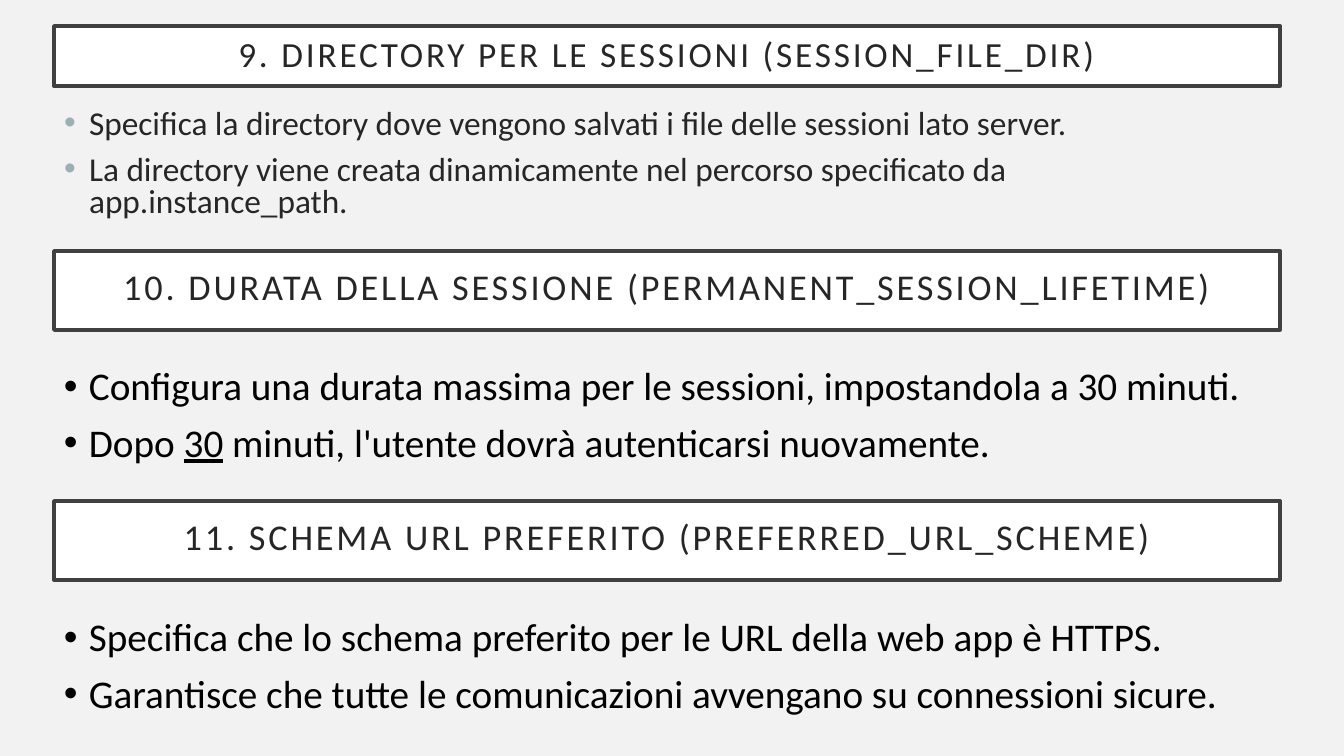
from lxml.etree import SubElement
from pptx import Presentation
from pptx.dml.color import RGBColor
from pptx.enum.shapes import MSO_SHAPE
from pptx.enum.text import MSO_ANCHOR, MSO_AUTO_SIZE, PP_ALIGN
from pptx.oxml.ns import qn
from pptx.util import Emu, Pt

COLOURS = {
    "background": "F2F2F2",
    "heading_fill": "FFFFFF",
    "heading_line": "404040",
    "soft_text": "262626",
    "text": "000000",
    "soft_bullet": "9BAFB5",
}
FONT = "Calibri"
LEFT, WIDTH = 54, 1226
LIST_HEIGHT = 127

# Each list item is a sequence of (text, underlined) runs
SECTIONS = [
    {
        "heading": "9. DIRECTORY PER LE SESSIONI (SESSION_FILE_DIR)",
        "heading_top": 26, "heading_height": 60, "heading_size": 25.2, "heading_spacing": 0.9,
        "items": [
            [("Specifica la directory dove vengono salvati i file delle sessioni lato server.", False)],
            [("La directory viene creata dinamicamente nel percorso specificato da "
              "app.instance_path.", False)],
        ],
        "list_top": 105, "list_size": 23.8, "list_spacing": 0.8,
        "list_colour": "soft_text", "bullet_colour": "soft_bullet",
    },
    {
        "heading": "10. DURATA DELLA SESSIONE (PERMANENT_SESSION_LIFETIME)",
        "heading_top": 251, "heading_height": 79, "heading_size": 25.9, "heading_spacing": 0.8,
        "items": [
            [("Configura una durata massima per le sessioni, impostandola a 30 minuti.", False)],
            [("Dopo ", False), ("30", True),
             (" minuti, l'utente dovrà autenticarsi nuovamente.", False)],
        ],
        "list_top": 362, "list_size": 28, "list_spacing": 0.9,
        "list_colour": "text", "bullet_colour": "text",
    },
    {
        "heading": "11. SCHEMA URL PREFERITO (PREFERRED_URL_SCHEME)",
        "heading_top": 501, "heading_height": 79, "heading_size": 25.9, "heading_spacing": 0.8,
        "items": [
            [("Specifica che lo schema preferito per le URL della web app è HTTPS.", False)],
            [("Garantisce che tutte le comunicazioni avvengano su connessioni sicure.", False)],
        ],
        "list_top": 613, "list_size": 28, "list_spacing": 0.9,
        "list_colour": "text", "bullet_colour": "text",
    },
]


def px(length):
    return Emu(round(length * 914400 / 100.8))


def colour(name):
    return RGBColor.from_string(COLOURS[name])


def place(shape, box):
    shape.left, shape.top, shape.width, shape.height = map(px, box)


def add_run(paragraph, text, size, colour_name):
    run = paragraph.add_run()
    run.text = text
    run.font.name = FONT
    run.font.size = Pt(size)
    run.font.color.rgb = colour(colour_name)
    return run


def add_bullet(paragraph, colour_name):
    properties = paragraph._p.get_or_add_pPr()
    properties.set("marL", str(px(25)))
    properties.set("indent", str(px(-25)))
    bullet_colour = SubElement(properties, qn("a:buClr"))
    SubElement(bullet_colour, qn("a:srgbClr")).set("val", COLOURS[colour_name])
    SubElement(properties, qn("a:buFont")).set("typeface", "Arial")
    SubElement(properties, qn("a:buChar")).set("char", "•")


def fill_heading(shape, box, section):
    """Framed heading with centred, letter-spaced text."""
    place(shape, box)
    shape.fill.solid()
    shape.fill.fore_color.rgb = colour("heading_fill")
    shape.line.color.rgb = colour("heading_line")
    shape.line.width = Pt(2.5)
    frame = shape.text_frame
    frame.word_wrap = True
    frame.auto_size = MSO_AUTO_SIZE.NONE
    frame.vertical_anchor = MSO_ANCHOR.MIDDLE
    frame.margin_left = frame.margin_right = px(20)
    frame.margin_top = frame.margin_bottom = px(20)
    paragraph = frame.paragraphs[0]
    paragraph.alignment = PP_ALIGN.CENTER
    paragraph.line_spacing = section["heading_spacing"]
    run = add_run(paragraph, section["heading"], section["heading_size"], "soft_text")
    run.font.bold = False
    run._r.get_or_add_rPr().set("spc", "200")


def fill_list(shape, box, section):
    """Bulleted list below a heading."""
    place(shape, box)
    frame = shape.text_frame
    frame.word_wrap = True
    frame.auto_size = MSO_AUTO_SIZE.NONE
    frame.vertical_anchor = MSO_ANCHOR.TOP
    for index, item in enumerate(section["items"]):
        paragraph = frame.add_paragraph() if index else frame.paragraphs[0]
        add_bullet(paragraph, section["bullet_colour"])
        paragraph.alignment = PP_ALIGN.LEFT
        paragraph.line_spacing = section["list_spacing"]
        paragraph.space_before = Pt(10 if index else 0)
        for text, underlined in item:
            run = add_run(paragraph, text, section["list_size"], section["list_colour"])
            if underlined:
                run.font.underline = True


def build_slide(presentation):
    slide = presentation.slides.add_slide(presentation.slide_layouts[1])
    slide.background.fill.solid()
    slide.background.fill.fore_color.rgb = colour("background")
    for index, section in enumerate(SECTIONS):
        heading_box = (LEFT, section["heading_top"], WIDTH, section["heading_height"])
        list_box = (LEFT, section["list_top"], WIDTH, LIST_HEIGHT)
        # The first section uses the template's placeholders
        if index == 0:
            heading, bullets = slide.shapes.title, slide.placeholders[1]
        else:
            heading = slide.shapes.add_shape(MSO_SHAPE.RECTANGLE, *map(px, heading_box))
            heading.shadow.inherit = False
            bullets = slide.shapes.add_textbox(*map(px, list_box))
        fill_heading(heading, heading_box, section)
        fill_list(bullets, list_box, section)


def main():
    presentation = Presentation()
    presentation.slide_width, presentation.slide_height = px(1344), px(756)
    build_slide(presentation)
    presentation.save("out.pptx")


if __name__ == "__main__":
    main()
